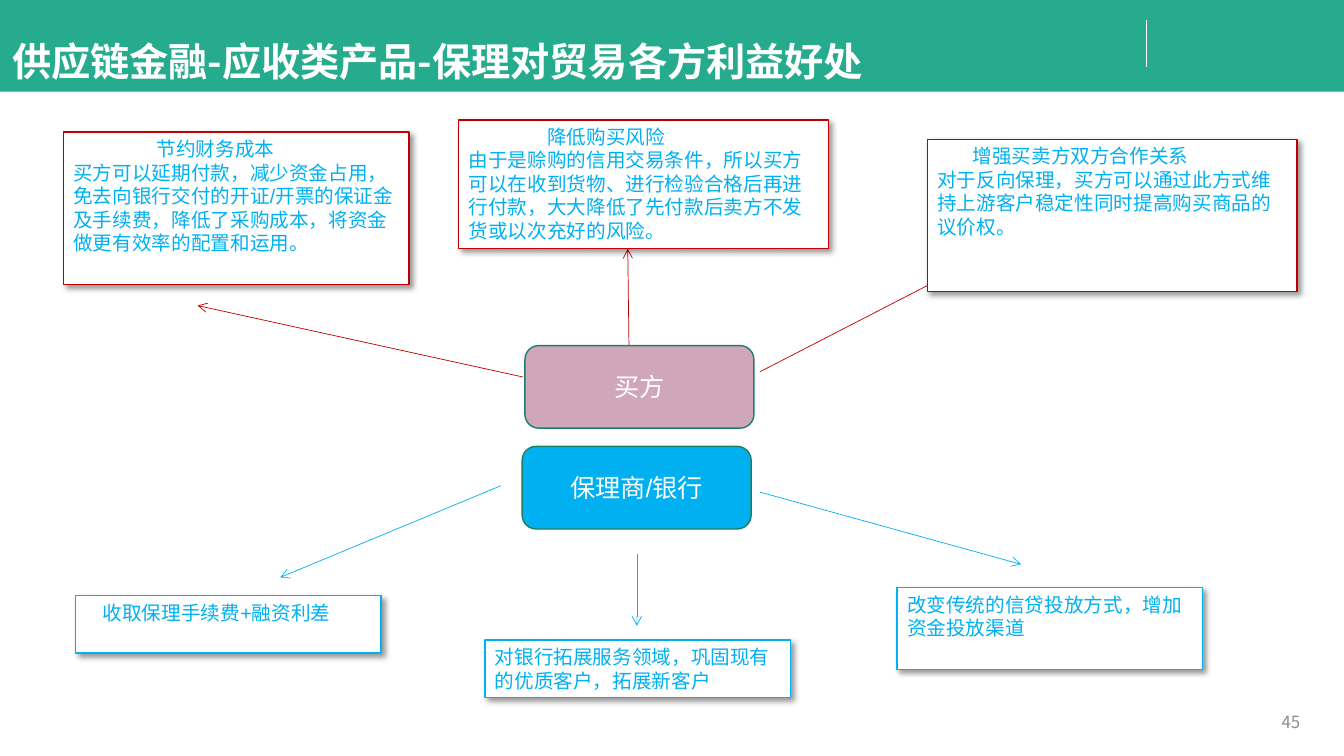
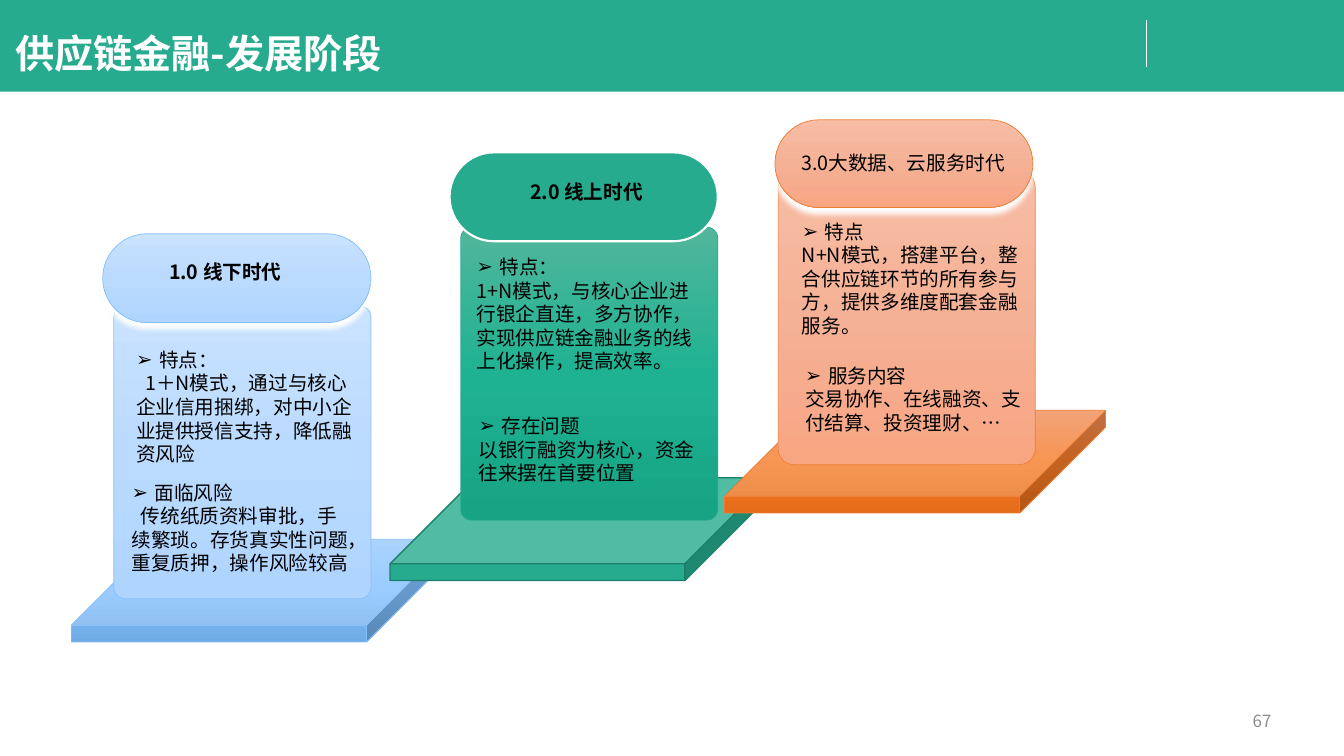
from copy import deepcopy
from lxml.etree import SubElement
from pptx import Presentation
from pptx.dml.color import RGBColor
from pptx.enum.shapes import MSO_CONNECTOR, MSO_SHAPE
from pptx.enum.text import MSO_ANCHOR as Anchor, PP_ALIGN as Align
from pptx.oxml.ns import qn
from pptx.util import Cm, Pt

GREEN = RGBColor(0x26, 0xAB, 0x8E)
DARK_GREEN = RGBColor(0x1C, 0x7F, 0x69)
WHITE = RGBColor(0xFF, 0xFF, 0xFF)
BLACK = RGBColor(0, 0, 0)
GRAY = RGBColor(0x8C, 0x8C, 0x8C)
RED = RGBColor(0xC0, 0, 0)
CYAN = RGBColor(0, 0xB0, 0xF0)
MAUVE = RGBColor(0xD0, 0xA6, 0xBB)
BLUE = RGBColor(0x85, 0xC0, 0xFB)
ORANGE = RGBColor(0xED, 0x7D, 0x31)
BLUE_CUBE = [RGBColor.from_string(c) for c in ("95C8FD", "81C0FF", "70ABE5")]
BLUE_CARD = [RGBColor.from_string(c) for c in ("CAE3FF", "BADAFE", "AFD5FF")]
GREEN_CARD = [RGBColor.from_string(c) for c in ("51B69C", "1FB292", "16A485")]
ORANGE_CUBE = [RGBColor.from_string(c) for c in ("F18C57", "F67B28", "E56C19")]
ORANGE_CARD = [RGBColor.from_string(c) for c in ("F7BDA5", "F5B196", "F8A582")]

CJK_FONT = "Noto Sans CJK SC"
BOX_SHADOW = (BLACK, 40, 4, 3, 45)
PILL_SHADOW = (WHITE, 100, 4, 4, 90)

BENEFITS_TITLE = ("供应链金融-应收类产品-保理对贸易各方利益好处", (0.05, 0.58, 24.79, 1.9))
BENEFITS_NUMBER = ("45", (25.96, 17.78, 7.06, 0.84))
PARTIES = [
    ("买方", (13.23, 8.71), MAUVE),
    ("保理商/银行", (13.16, 11.25), CYAN),
]
BENEFITS = [
    (RED, (1.6, 3.33, 8.71, 3.84), [
        ("节约财务成本", 2.1),
        ("买方可以延期付款，减少资金占用，免去向银行交付的开证/开票的保证金及手续费，"
         "降低了采购成本，将资金做更有效率的配置和运用。", 0)]),
    (RED, (11.56, 3.02, 9.32, 3.25), [
        ("降低购买风险", 1.98),
        ("由于是赊购的信用交易条件，所以买方可以在收到货物、进行检验合格后再进行付款，"
         "大大降低了先付款后卖方不发货或以次充好的风险。", 0)]),
    (RED, (23.37, 3.51, 9.32, 3.84), [
        ("增强买卖方双方合作关系", 0.89),
        ("对于反向保理，买方可以通过此方式维持上游客户稳定性同时提高购买商品的议价权。", 0)]),
    (CYAN, (1.9, 15.01, 7.7, 1.45), [("收取保理手续费+融资利差", 0.44)]),
    (CYAN, (12.22, 16.13, 7.7, 1.45), [("对银行拓展服务领域，巩固现有的优质客户，拓展新客户", 0)]),
    (CYAN, (22.61, 14.81, 7.7, 2.06), [("改变传统的信贷投放方式，增加资金投放渠道", 0)]),
]
ARROWS = [
    (RED, (13.18, 9.5, 4.98, 7.7)),
    (RED, (15.85, 8.69, 15.82, 6.27)),
    (RED, (19.15, 9.37, 26.14, 5.77)),
    (CYAN, (12.62, 12.24, 7.06, 14.55)),
    (CYAN, (19.15, 12.4, 25.73, 14.22)),
    (CYAN, (16.05, 13.97, 16.05, 15.77)),
]

STAGES_TITLE = ("供应链金融-发展阶段", (0.13, 0.43, 24.31, 1.8))
STAGES_NUMBER = ("67", (29.11, 17.65, 3.18, 1.02))
STAGES = [
    {"label": "1.0 线下时代", "label_box": (4.01, 6.43, 3.96, 0.86), "bold": True,
     "cube": (1.8, 13.59), "cube_fill": BLUE_CUBE, "cube_line": (BLUE, 0.5),
     "card": (2.87, 7.7), "card_fill": BLUE_CARD, "card_line": (BLUE, 0.5), "corner": 0.045,
     "pill": (2.59, 5.89, 6.76, 2.24), "pill_fill": BLUE_CARD, "pill_line": (BLUE, 0.5),
     "pill_shadow": PILL_SHADOW, "first_indent": 0.23,
     "notes": [
         ((3.18, 8.64, 3.25), "特点：",
          "1＋N模式，通过与核心企业信用捆绑，对中小企业提供授信支持，降低融资风险"),
         ((3.07, 11.99, 3.25), "面临风险",
          "传统纸质资料审批，手续繁琐。存货真实性问题，重复质押，操作风险较高")]},
    {"label": "2.0 线上时代", "label_box": (13.11, 4.42, 3.96, 0.86), "bold": True,
     "cube": (9.83, 12.04), "cube_fill": GREEN, "cube_line": (DARK_GREEN, 1),
     "card": (11.61, 5.72), "card_fill": GREEN_CARD, "card_line": (GREEN, 0.5), "corner": 0.045,
     "pill": (11.33, 3.84, 6.76, 2.24), "pill_fill": GREEN, "pill_line": (WHITE, 1.5),
     "pill_shadow": None, "first_indent": 0,
     "notes": [
         ((11.76, 6.3, 3.25), "特点：",
          "1+N模式，与核心企业进行银企直连，多方协作，实现供应链金融业务的线上化操作，提高效率。"),
         ((11.81, 10.31, 2.06), "存在问题", "以银行融资为核心，资金往来摆在首要位置")]},
    {"label": "3.0大数据、云服务时代", "label_box": (19.94, 3.68, 6.12, 0.86), "bold": False,
     "cube": (18.26, 10.34), "cube_fill": ORANGE_CUBE, "cube_line": (ORANGE, 0.5),
     "card": (19.61, 4.32), "card_fill": ORANGE_CARD, "card_line": (ORANGE, 0.5), "corner": 0.061,
     "pill": (19.53, 3.02, 6.5, 2.21), "pill_fill": ORANGE_CARD, "pill_line": (ORANGE, 0.5),
     "pill_shadow": PILL_SHADOW, "first_indent": 0,
     "notes": [
         ((19.96, 5.41, 3.25), "特点",
          "N+N模式，搭建平台，整合供应链环节的所有参与方，提供多维度配套金融服务。"),
         ((20.04, 9.04, 2.06), "服务内容", "交易协作、在线融资、支付结算、投资理财、…")]},
]
PARTY_SIZE = (5.77, 2.08)
CUBE_SIZE = (9.6, 2.59)
CARD_SIZE = (6.48, 7.39)
NOTE_WIDTH = 6.1
BULLET_INDENT = 0.58


def lengths(values):
    return [Cm(value) for value in values]


def format_paragraph(paragraph, size, color, font_name=CJK_FONT, bold=False, align=Align.LEFT):
    paragraph.alignment = align
    for run in paragraph.runs:
        run.font.size = Pt(size)
        run.font.bold = bold
        run.font.color.rgb = color
        run.font.name = font_name
        SubElement(run._r.get_or_add_rPr(), qn("a:ea")).set("typeface", CJK_FONT)


def set_indent(paragraph, left, first=0, bullet=None):
    properties = paragraph._p.get_or_add_pPr()
    properties.set("marL", str(Cm(left)))
    properties.set("indent", str(Cm(first)))
    if bullet:
        SubElement(properties, qn("a:buFont")).set("typeface", "Arial")
        SubElement(properties, qn("a:buChar")).set("char", bullet)


def paint(shape, fill):
    if not isinstance(fill, list):
        shape.fill.solid()
        shape.fill.fore_color.rgb = fill
        return
    shape.fill.gradient()
    shape.fill.gradient_angle = 270
    stop_list = shape.element.spPr.find(".//" + qn("a:gsLst"))
    stop_list.insert(1, deepcopy(stop_list[0]))
    for index, (stop, color) in enumerate(zip(shape.fill.gradient_stops, fill)):
        stop.color.rgb = color
        stop.position = index / 2


def add_shadow(shape, shadow):
    color, alpha, blur, distance, angle = shadow
    effects = shape.element.spPr.find(qn("a:effectLst"))
    outer = SubElement(effects, qn("a:outerShdw"), blurRad=str(Pt(blur)), dist=str(Pt(distance)),
                       dir=str(angle * 60000), algn="t", rotWithShape="0")
    tint = SubElement(outer, qn("a:srgbClr"), val=str(color))
    SubElement(tint, qn("a:alpha"), val=str(alpha * 1000))


def add_shape(slide, kind, box, fill, line=None, corner=None, shadow=None):
    shape = slide.shapes.add_shape(kind, *lengths(box))
    paint(shape, fill)
    if line:
        shape.line.color.rgb, shape.line.width = line[0], Pt(line[1])
    else:
        shape.line.fill.background()
    if corner is not None:
        shape.adjustments[0] = corner
    shape.shadow.inherit = False
    if shadow:
        add_shadow(shape, shadow)
    return shape


def add_line(slide, ends, color, arrow=False):
    connector = slide.shapes.add_connector(MSO_CONNECTOR.STRAIGHT, *lengths(ends))
    connector.line.color.rgb = color
    connector.line.width = Pt(0.5)
    if arrow:
        SubElement(connector.line._get_or_add_ln(), qn("a:tailEnd"), type="arrow")
    SubElement(connector.element.spPr, qn("a:effectLst"))
    return connector


def add_text(slide, box, text, anchor=Anchor.TOP):
    frame = slide.shapes.add_textbox(*lengths(box)).text_frame
    frame.word_wrap = True
    frame.vertical_anchor = anchor
    frame.text = text
    return frame


def add_header_to_layout(layout, slide):
    band = add_shape(slide, MSO_SHAPE.RECTANGLE, (0, 0, 33.87, 2.31), GREEN)
    divider = add_line(slide, (28.88, 0.51, 28.88, 1.7), WHITE)
    for position, part in enumerate((band, divider), start=2):
        layout.shapes.element.insert(position, part.element)


def start_slide(slide, title, number):
    heading = slide.shapes.title
    text, box = title
    heading.left, heading.top, heading.width, heading.height = lengths(box)
    heading.text_frame.text = text
    heading.text_frame.vertical_anchor = Anchor.MIDDLE
    format_paragraph(heading.text_frame.paragraphs[0], 28, WHITE, bold=True)
    text, box = number
    frame = add_text(slide, box, text, Anchor.MIDDLE)
    format_paragraph(frame.paragraphs[0], 12, GRAY, align=Align.RIGHT)


def draw_benefits(slide):
    for color, ends in ARROWS:
        add_line(slide, ends, color, arrow=True)
    for name, place, fill in PARTIES:
        party = add_shape(slide, MSO_SHAPE.ROUNDED_RECTANGLE, place + PARTY_SIZE, fill, (DARK_GREEN, 1))
        frame = party.text_frame
        frame.text = name
        frame.vertical_anchor = Anchor.MIDDLE
        format_paragraph(frame.paragraphs[0], 18, WHITE, "Arial", align=Align.CENTER)
    for color, box, lines in BENEFITS:
        benefit = add_shape(slide, MSO_SHAPE.RECTANGLE, box, WHITE, (color, 1), shadow=BOX_SHADOW)
        frame = benefit.text_frame
        frame.vertical_anchor = Anchor.TOP
        frame.text = "\n".join(text for text, _ in lines)
        for paragraph, (_, indent) in zip(frame.paragraphs, lines):
            set_indent(paragraph, indent)
            format_paragraph(paragraph, 14, CYAN, "Arial")


def draw_stage(slide, stage):
    add_shape(slide, MSO_SHAPE.CUBE, stage["cube"] + CUBE_SIZE, stage["cube_fill"],
              stage["cube_line"], 0.837)
    add_shape(slide, MSO_SHAPE.ROUNDED_RECTANGLE, stage["card"] + CARD_SIZE, stage["card_fill"],
              stage["card_line"], stage["corner"])
    add_shape(slide, MSO_SHAPE.ROUNDED_RECTANGLE, stage["pill"], stage["pill_fill"],
              stage["pill_line"], 0.5, stage["pill_shadow"])
    label = add_text(slide, stage["label_box"], stage["label"])
    format_paragraph(label.paragraphs[0], 14, BLACK, bold=stage["bold"])
    for (left, top, height), heading, body in stage["notes"]:
        note = add_text(slide, (left, top, NOTE_WIDTH, height), f"{heading}\n{body}")
        set_indent(note.paragraphs[0], BULLET_INDENT, -BULLET_INDENT, "➢")
        set_indent(note.paragraphs[1], 0, stage["first_indent"])
        for paragraph in note.paragraphs:
            format_paragraph(paragraph, 14, BLACK)


def main():
    presentation = Presentation()
    presentation.slide_width, presentation.slide_height = Cm(33.87), Cm(19.05)
    layout = presentation.slide_layouts.get_by_name("Title Only")
    benefits_slide = presentation.slides.add_slide(layout)
    stages_slide = presentation.slides.add_slide(layout)
    add_header_to_layout(layout, benefits_slide)

    start_slide(benefits_slide, BENEFITS_TITLE, BENEFITS_NUMBER)
    draw_benefits(benefits_slide)

    start_slide(stages_slide, STAGES_TITLE, STAGES_NUMBER)
    for stage in STAGES:
        draw_stage(stages_slide, stage)
    presentation.save("out.pptx")


if __name__ == "__main__":
    main()
